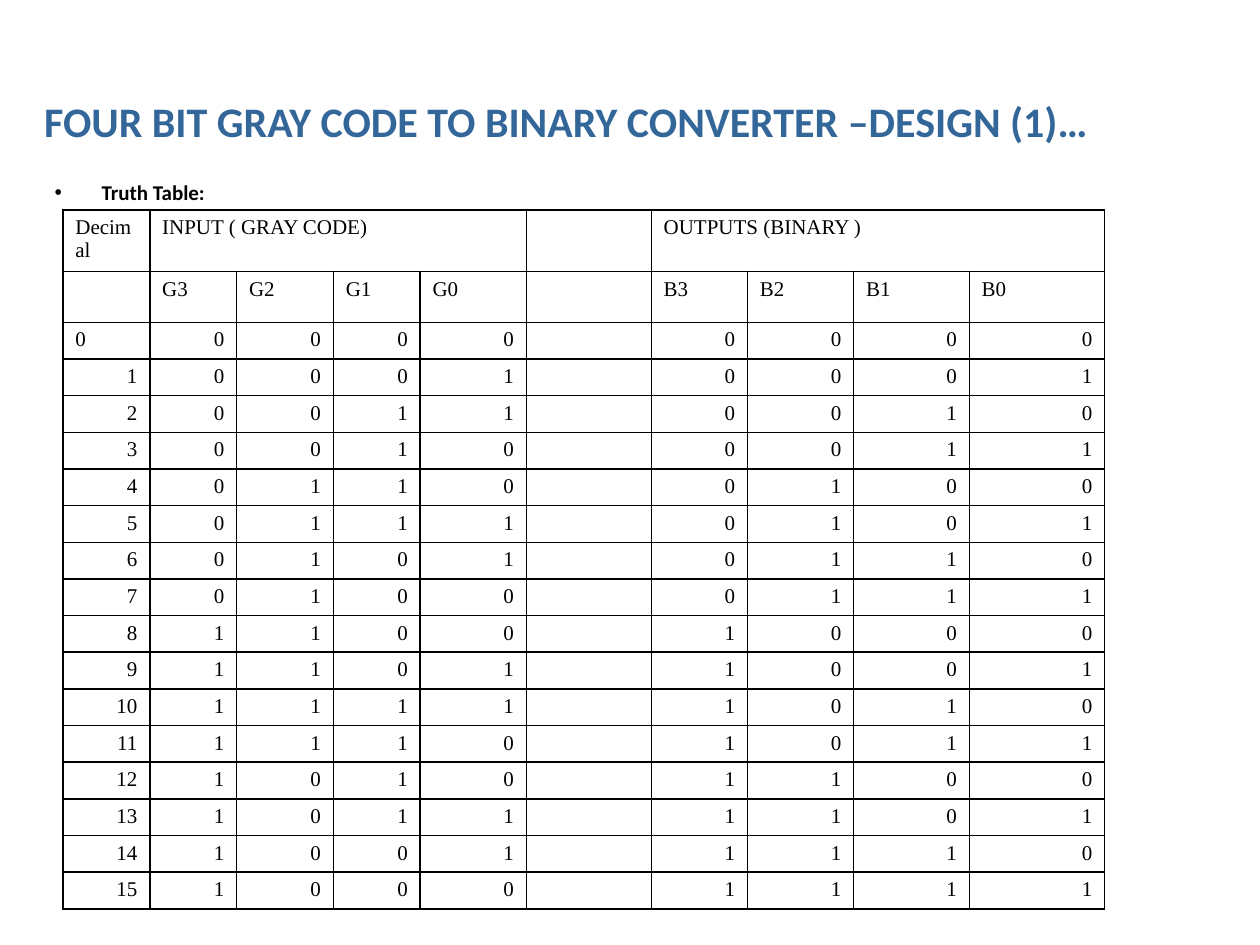
from dataclasses import dataclass

from lxml.etree import SubElement
from pptx import Presentation
from pptx.dml.color import RGBColor
from pptx.enum.text import MSO_ANCHOR, PP_ALIGN
from pptx.oxml import parse_xml
from pptx.oxml.ns import nsdecls, qn
from pptx.util import Cm, Pt


@dataclass(frozen=True)
class Theme:
    blue: str = "336699"
    black: str = "000000"
    sans: str = "Calibri"
    serif: str = "Times New Roman"
    head: int = 24
    body: int = 12
    rule: int = 1


THEME = Theme()
BITS = (3, 2, 1, 0)
COUNT = 16
GAP = 5
WIDTHS = (1.75, 1.75, 1.95, 1.75, 2.14, 2.52, 1.94, 2.14, 2.33, 2.73)
HEIGHTS = (1.19, 1.02) + (11.6 / COUNT,) * COUNT


def style(font, name, size, color, bold=False):
    font.name, font.size, font.bold = name, Pt(size), bold
    font.color.rgb = RGBColor.from_string(color)


def add_text(slide, text, place, size, color):
    box = slide.shapes.add_textbox(*map(Cm, place))
    frame = box.text_frame
    frame.word_wrap = True
    frame.text = text
    style(frame.paragraphs[0].runs[0].font, THEME.sans, size, color, True)
    return frame


def add_bullet(para):
    props = para._p.get_or_add_pPr()
    props.set("marL", str(Cm(0.95)))
    props.set("indent", str(-Cm(0.95)))
    SubElement(props, qn("a:buFont"), typeface="Arial")
    SubElement(props, qn("a:buChar"), char="•")
    para.line_spacing = 0.8


def add_border(cell):
    props = cell._tc.get_or_add_tcPr()
    for spot, side in enumerate("LRTB"):
        props.insert(spot, parse_xml(
            f'<a:ln{side} {nsdecls("a")} w="{Pt(THEME.rule)}"><a:solidFill>'
            f'<a:srgbClr val="{THEME.black}"/></a:solidFill></a:ln{side}>'))


def fill_cell(cell, text, right):
    cell.margin_left = cell.margin_right = Cm(0.25)
    cell.margin_top, cell.margin_bottom = Cm(0.12), Cm(0.11)
    cell.fill.background()
    add_border(cell)
    cell.text = text
    para = cell.text_frame.paragraphs[0]
    para.alignment = PP_ALIGN.RIGHT if right else PP_ALIGN.LEFT
    for run in para.runs:
        style(run.font, THEME.serif, THEME.body, THEME.black)
    if not text:
        # An empty cell takes its line height from the paragraph end mark.
        SubElement(para._p, qn("a:endParaRPr"), sz=str(THEME.body * 100))


def truth_rows():
    """Two heading rows, then each number in Gray code and in binary."""
    blank = [""] * 3
    yield ["Decimal", "INPUT ( GRAY CODE)", *blank, "", "OUTPUTS (BINARY )", *blank]
    yield ["", *(f"G{b}" for b in BITS), "", *(f"B{b}" for b in BITS)]
    for num in range(COUNT):
        gray = num ^ (num >> 1)
        yield [str(num), *f"{gray:04b}", "", *f"{num:04b}"]


def add_truth(slide):
    frame = slide.shapes.add_table(
        len(HEIGHTS), len(WIDTHS), Cm(1.27), Cm(4.23),
        Cm(sum(WIDTHS)), Cm(sum(HEIGHTS)))
    table = frame.table
    table.first_row = table.horz_banding = False
    for col, width in zip(table.columns, WIDTHS):
        col.width = Cm(width)
    for row, height in zip(table.rows, HEIGHTS):
        row.height = Cm(height)
    for r, texts in enumerate(truth_rows()):
        for c, text in enumerate(texts):
            right = r > 1 and (r, c) != (2, 0)
            fill_cell(table.cell(r, c), text, right)
    for start in (1, GAP + 1):
        table.cell(0, start).merge(table.cell(0, start + len(BITS) - 1))


def main():
    deck = Presentation()
    deck.slide_width, deck.slide_height = Cm(25.4), Cm(19.05)
    slide = deck.slides.add_slide(deck.slide_layouts[6])
    title = add_text(slide, "FOUR BIT GRAY CODE TO BINARY CONVERTER –DESIGN (1)…",
                     (0.64, 0.85, 21.59, 3.18), THEME.head, THEME.blue)
    title.vertical_anchor = MSO_ANCHOR.MIDDLE
    label = add_text(slide, "Truth Table:", (0.85, 3.6, 10.58, 1.06),
                     THEME.body, THEME.black)
    add_bullet(label.paragraphs[0])
    add_truth(slide)
    deck.save("out.pptx")


if __name__ == "__main__":
    main()
